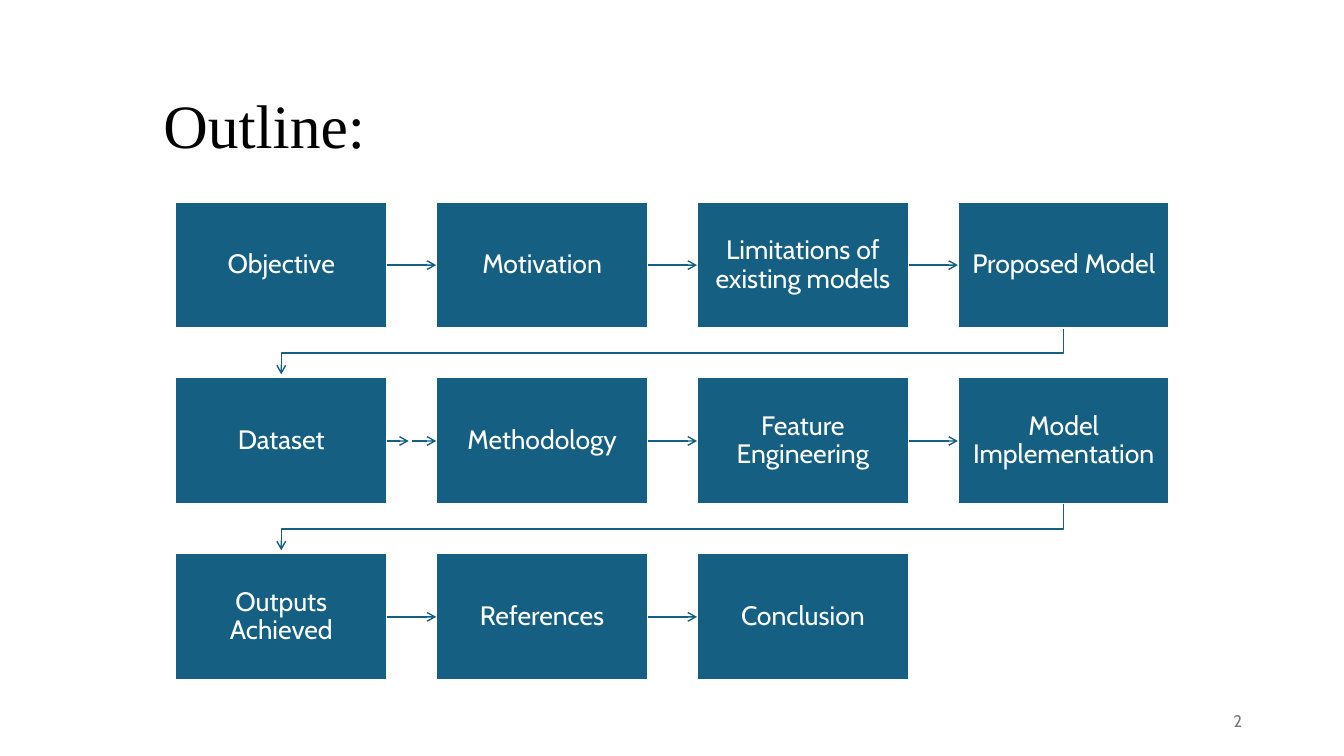
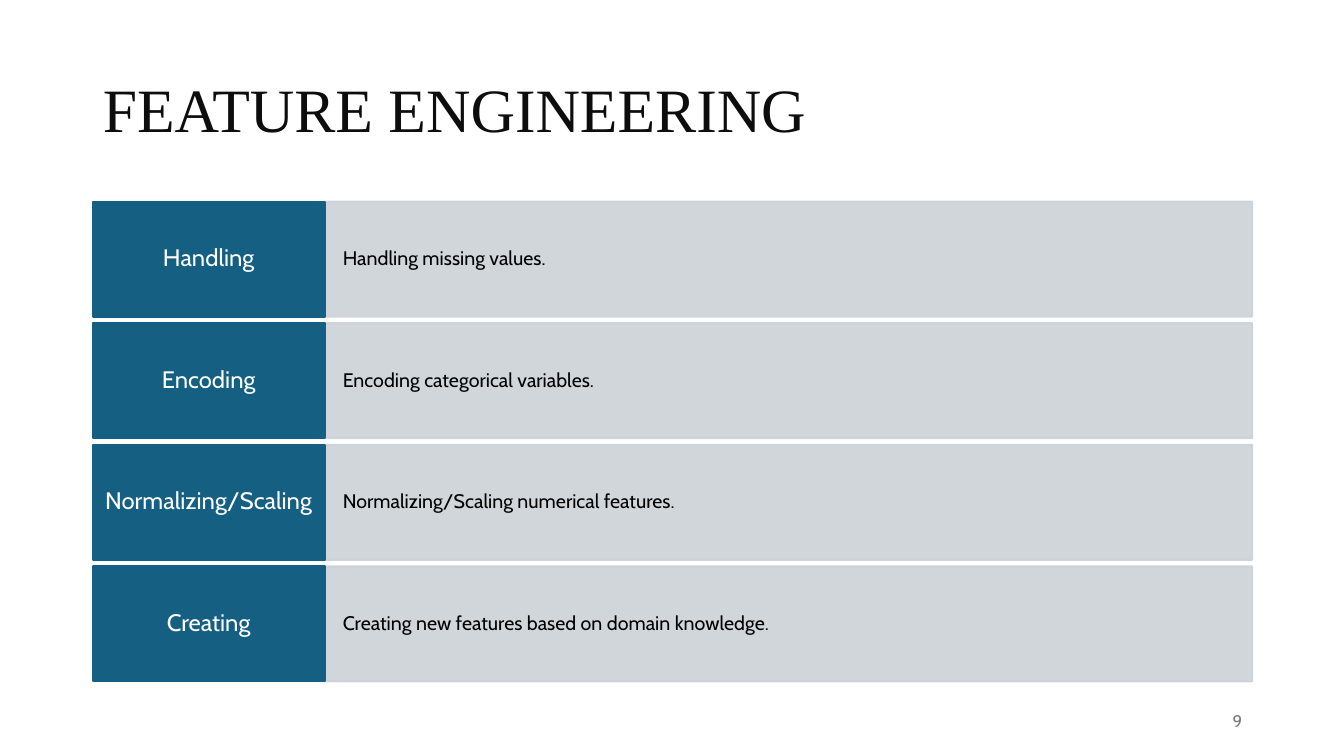
from dataclasses import dataclass
from itertools import pairwise

from pptx import Presentation
from pptx.dml.color import RGBColor
from pptx.enum.shapes import MSO_CONNECTOR as Connector, MSO_SHAPE as Preset
from pptx.enum.text import MSO_ANCHOR as Anchor, MSO_AUTO_SIZE as AutoSize, PP_ALIGN as Align
from pptx.oxml.ns import qn
from pptx.oxml.xmlchemy import OxmlElement
from pptx.util import Inches, Pt


@dataclass(frozen=True)
class Theme:
    accent: RGBColor = RGBColor.from_string("156082")
    panel: RGBColor = RGBColor.from_string("CCD2D8")
    white: RGBColor = RGBColor.from_string("FFFFFF")
    black: RGBColor = RGBColor.from_string("000000")
    heading: RGBColor = RGBColor.from_string("0D0D0D")
    muted: RGBColor = RGBColor.from_string("797979")
    title_font: str = "Times New Roman"
    body_font: str = "Cabin"
    title_size: int = 44
    flow_size: int = 19
    label_size: int = 17
    detail_size: int = 14
    number_size: int = 12
    border: float = 1.5
    arrow: float = 1


@dataclass(frozen=True)
class Box:
    left: float
    top: float
    width: float
    height: float

    def lengths(self):
        return [Inches(value) for value in (self.left, self.top, self.width, self.height)]


THEME = Theme()
TOPICS = [
    "Objective", "Motivation", "Limitations of existing models", "Proposed Model",
    "Dataset", "Methodology", "Feature Engineering", "Model Implementation",
    "Outputs Achieved", "References", "Conclusion",
]
TWO_STEP_TOPIC = "Dataset"
TECHNIQUES = [
    ("Handling", "Handling missing values."),
    ("Encoding", "Encoding categorical variables."),
    ("Normalizing/Scaling", "Normalizing/Scaling numerical features."),
    ("Creating", "Creating new features based on domain knowledge."),
]


def write_text(shape, text, size, color, align, font=THEME.body_font, spacing=0.9,
               margins=(0.1, 0.05, 0.1, 0.05)):
    frame = shape.text_frame
    frame.word_wrap = True
    frame.auto_size = AutoSize.NONE
    frame.vertical_anchor = Anchor.MIDDLE
    (frame.margin_left, frame.margin_top,
     frame.margin_right, frame.margin_bottom) = [Inches(margin) for margin in margins]
    paragraph = frame.paragraphs[0]
    paragraph.alignment = align
    paragraph.line_spacing = spacing
    run = paragraph.add_run()
    run.text = text
    run.font.name = font
    run.font.size = Pt(size)
    run.font.color.rgb = color


def add_block(slide, box, fill, border):
    shape = slide.shapes.add_shape(Preset.RECTANGLE, *box.lengths())
    shape.fill.solid()
    shape.fill.fore_color.rgb = fill
    shape.line.color.rgb = border
    shape.line.width = Pt(THEME.border)
    shape.shadow.inherit = False
    return shape


def set_opacity(shape, percent):
    for color in shape.element.spPr.iter(qn("a:srgbClr")):
        alpha = OxmlElement("a:alpha")
        alpha.set("val", str(percent * 1000))
        color.append(alpha)


def style_arrow(shape):
    shape.line.color.rgb = THEME.accent
    shape.line.width = Pt(THEME.arrow)
    head = OxmlElement("a:tailEnd")
    head.set("type", "arrow")
    shape.element.spPr.get_or_add_ln().append(head)


def add_arrow(slide, start, end, y, source=None, target=None):
    arrow = slide.shapes.add_connector(
        Connector.STRAIGHT, Inches(start), Inches(y), Inches(end), Inches(y))
    if source is not None:
        arrow.begin_connect(source, 3)
    if target is not None:
        arrow.end_connect(target, 1)
    style_arrow(arrow)
    arrow.element.spPr.append(OxmlElement("a:effectLst"))


def add_return_arrow(slide, start, end):
    start_x = start.left + start.width / 2
    start_y = start.top + start.height
    end_x = end.left + end.width / 2
    middle_y = (start_y + end.top) / 2
    points = [(start_x, middle_y), (end_x, middle_y), (end_x, end.top - 0.03)]
    builder = slide.shapes.build_freeform(Inches(start_x), Inches(start_y))
    builder.add_line_segments([(Inches(x), Inches(y)) for x, y in points], close=False)
    arrow = builder.convert_to_shape()
    arrow.fill.background()
    arrow.shadow.inherit = False
    style_arrow(arrow)


def add_topic_flow(slide, region, topics, columns=4, width=2.1, height=1.26):
    rows = -(-len(topics) // columns)
    step_x = (region.width - width) / (columns - 1)
    step_y = (region.height - height) / (rows - 1)
    steps = []
    for index, topic in enumerate(topics):
        row, column = divmod(index, columns)
        box = Box(region.left + column * step_x, region.top + row * step_y, width, height)
        block = add_block(slide, box, THEME.accent, THEME.white)
        write_text(block, topic, THEME.flow_size, THEME.white, Align.CENTER,
                   margins=(0.1, 0.11, 0.1, 0.11))
        steps.append((topic, box, block))
    for (topic, box, block), (_, next_box, next_block) in pairwise(steps):
        start, end = box.left + width, next_box.left
        y = box.top + height / 2
        if next_box.top > box.top:
            add_return_arrow(slide, box, next_box)
        elif topic == TWO_STEP_TOPIC:
            middle = (start + end) / 2
            add_arrow(slide, start, middle - 0.03, y, source=block)
            add_arrow(slide, middle, end, y, target=next_block)
        else:
            add_arrow(slide, start, end, y, block, next_block)


def add_technique_rows(slide, region, techniques, label_width=2.3, height=1.14):
    step = (region.height - height) / (len(techniques) - 1)
    for index, (label, detail) in enumerate(techniques):
        top = region.top + index * step
        panel_box = Box(region.left + label_width, top, region.width - label_width, height)
        panel = add_block(slide, panel_box, THEME.panel, THEME.panel)
        set_opacity(panel, 90)
        write_text(panel, detail, THEME.detail_size, THEME.black, Align.LEFT,
                   margins=(0.18, 0.29, 0.18, 0.29))
        label_box = Box(region.left, top, label_width, height)
        block = add_block(slide, label_box, THEME.accent, THEME.accent)
        write_text(block, label, THEME.label_size, THEME.white, Align.CENTER,
                   margins=(0.1, 0.11, 0.1, 0.11))


def add_titled_slide(presentation, title, box, color, margins, number):
    slide = presentation.slides.add_slide(presentation.slide_layouts[5])
    heading = slide.shapes.title
    heading.left, heading.top, heading.width, heading.height = box.lengths()
    write_text(heading, title, THEME.title_size, color, Align.LEFT,
               font=THEME.title_font, margins=margins)
    footer = slide.shapes.add_textbox(*Box(9.42, 6.95, 3, 0.4).lengths())
    write_text(footer, number, THEME.number_size, THEME.muted, Align.RIGHT, spacing=1)
    return slide


def build_outline(presentation):
    slide = add_titled_slide(presentation, "Outline:", Box(1.21, 0.55, 11.5, 1.45),
                             THEME.black, (0.41, 0.05, 0.1, 0.05), "2")
    add_topic_flow(slide, Box(1.74, 2, 9.86, 4.75), TOPICS)


def build_feature_engineering(presentation):
    slide = add_titled_slide(presentation, "FEATURE ENGINEERING", Box(0.92, 0.71, 11.5, 1.45),
                             THEME.heading, (0.1, 0.05, 0.1, 0.68), "9")
    add_technique_rows(slide, Box(0.92, 2, 11.5, 4.76), TECHNIQUES)


def main():
    presentation = Presentation()
    presentation.slide_width = Inches(13.33)
    presentation.slide_height = Inches(7.5)
    build_outline(presentation)
    build_feature_engineering(presentation)
    presentation.save("out.pptx")


if __name__ == "__main__":
    main()
